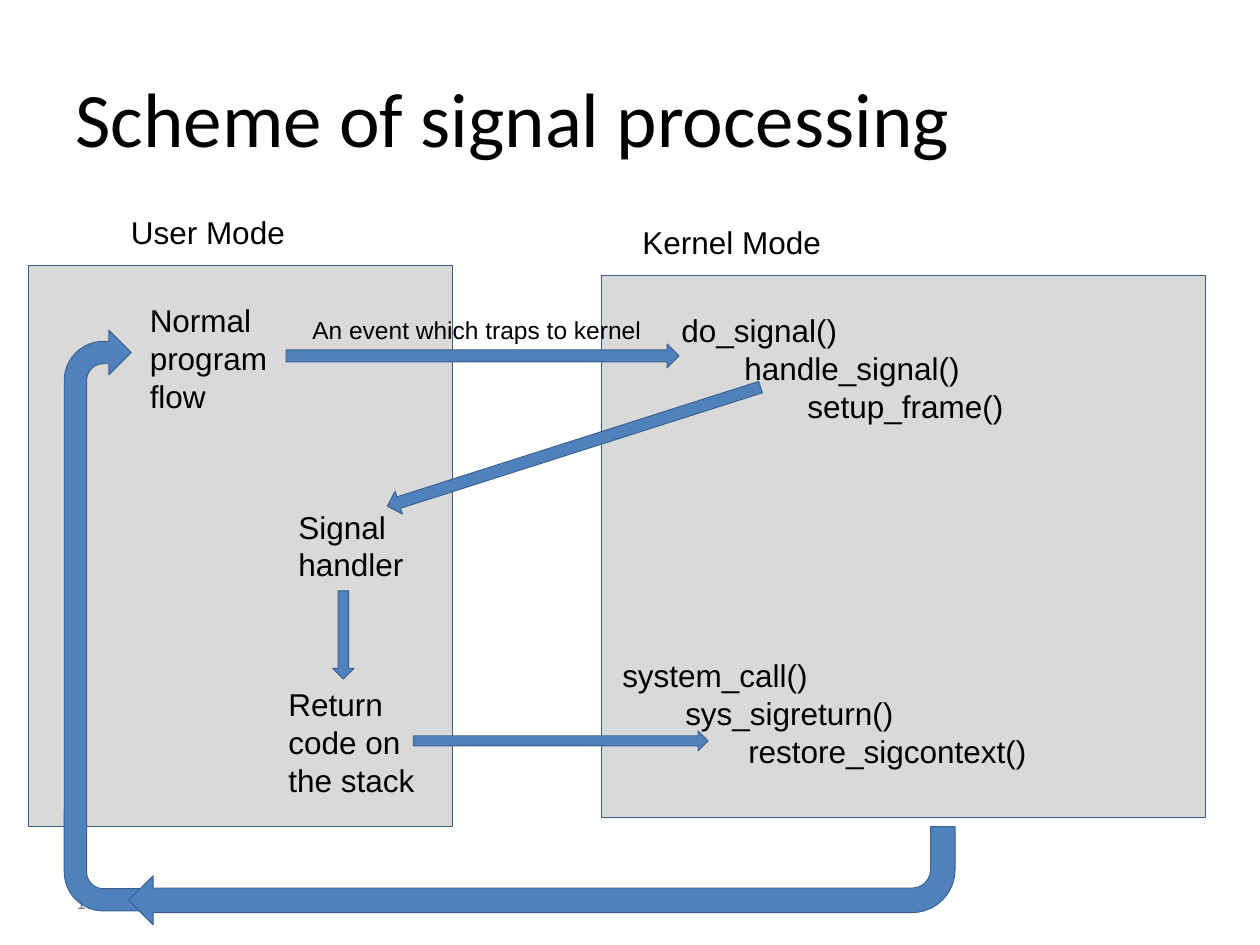
from pptx import Presentation
from pptx.util import Inches, Pt
from pptx.dml.color import RGBColor
from pptx.enum.shapes import MSO_SHAPE as Kind
from pptx.enum.text import PP_ALIGN as Align, MSO_ANCHOR as Anchor

BLACK = RGBColor(0, 0, 0)
GRAY = RGBColor(0x8C, 0x8C, 0x8C)
PANEL = RGBColor(0xD9, 0xD9, 0xD9)
BLUE = RGBColor(0x4F, 0x81, 0xBD)
EDGE = RGBColor(0x3A, 0x5F, 0x8C)

deck = Presentation()
deck.slide_width, deck.slide_height = Inches(10), Inches(7.5)
slide = deck.slides.add_slide(deck.slide_layouts[5])


def write(box, text, size, font="Arial", color=BLACK, anchor=Anchor.TOP):
    frame = box.text_frame
    frame.word_wrap = True
    frame.vertical_anchor = anchor
    frame.text = text
    for para in frame.paragraphs:
        para.alignment = Align.LEFT
        style = {"size": Pt(size), "name": font}
        for key, value in style.items():
            setattr(para.runs[0].font, key, value)
        para.runs[0].font.color.rgb = color


def draw(kind, place, fill, turn=0):
    shape = slide.shapes.add_shape(kind, *map(Inches, place))
    shape.shadow.inherit = False
    shape.fill.solid()
    shape.fill.fore_color.rgb = fill
    shape.line.color.rgb = EDGE
    shape.line.width = Pt(0.5)
    shape.rotation = turn
    return shape


# Title
title = slide.shapes.title
title.left, title.top, title.width, title.height = map(Inches, (0.5, 0.3, 9, 1.25))
write(title, "Scheme of signal processing", 44, "Calibri", anchor=Anchor.MIDDLE)

# Slide number
number = slide.shapes.add_textbox(*map(Inches, (0.5, 6.95, 2.33, 0.4)))
write(number, "11", 12, "Calibri", GRAY, Anchor.MIDDLE)

# User and kernel panels
for place in ((0.23, 2.11, 3.36, 4.45), (4.77, 2.19, 4.8, 4.3)):
    draw(Kind.RECTANGLE, place, PANEL)

# Straight arrows, then the loop back to the program
arrows = [
    (Kind.RIGHT_ARROW, (2.27, 2.73, 3.12, 0.19), 0),
    (Kind.RIGHT_ARROW, (3, 3.45, 3.11, 0.19), 162.3),
    (Kind.DOWN_ARROW, (2.64, 4.69, 0.17, 0.7), 0),
    (Kind.RIGHT_ARROW, (3.28, 5.8, 2.34, 0.16), 0),
    (Kind.U_TURN_ARROW, (-1.44, 4.57, 4.61, 0.71), 270),
    (Kind.BENT_ARROW, (1.02, 6.56, 6.56, 0.78), 180),
]
for kind, place, turn in arrows:
    draw(kind, place, BLUE, turn)

# Labels
labels = [
    ("User Mode", (0.94, 1.64, 2.73, 0.4), 18),
    ("Kernel Mode", (5, 1.72, 3.98, 0.4), 18),
    ("Normal program flow", (1.09, 2.34, 1.48, 1.01), 18),
    ("do_signal()\n\thandle_signal()\n\t\tsetup_frame()", (5.31, 2.42, 4.06, 1.01), 18),
    ("Signal handler", (2.27, 3.98, 1.48, 0.71), 18),
    ("Return code on the stack", (2.19, 5.39, 1.41, 1.01), 18),
    ("system_call()\n\tsys_sigreturn()\n\t\trestore_sigcontext()", (4.84, 5.16, 4.61, 1.01), 18),
    ("An event which traps to kernel", (2.38, 2.45, 2.95, 0.34), 14),
]
for text, place, size in labels:
    write(slide.shapes.add_textbox(*map(Inches, place)), text, size)

deck.save("out.pptx")
